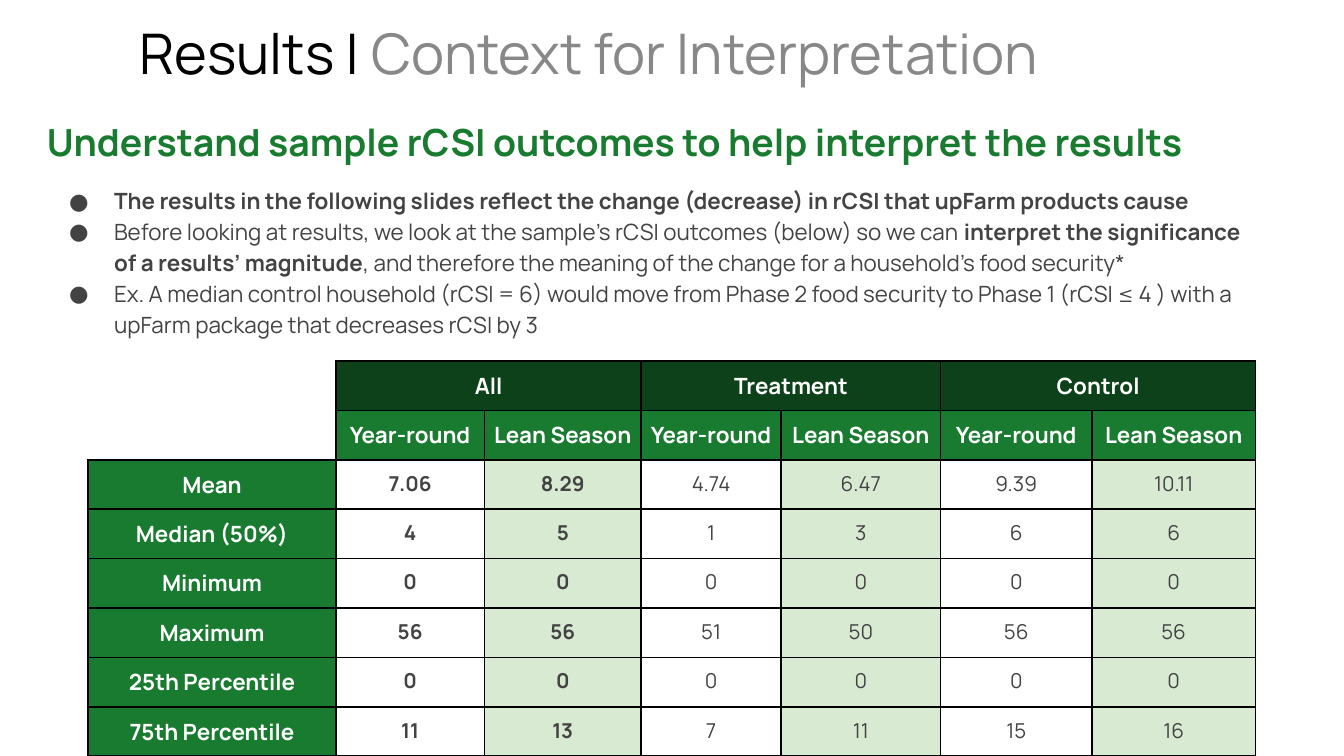
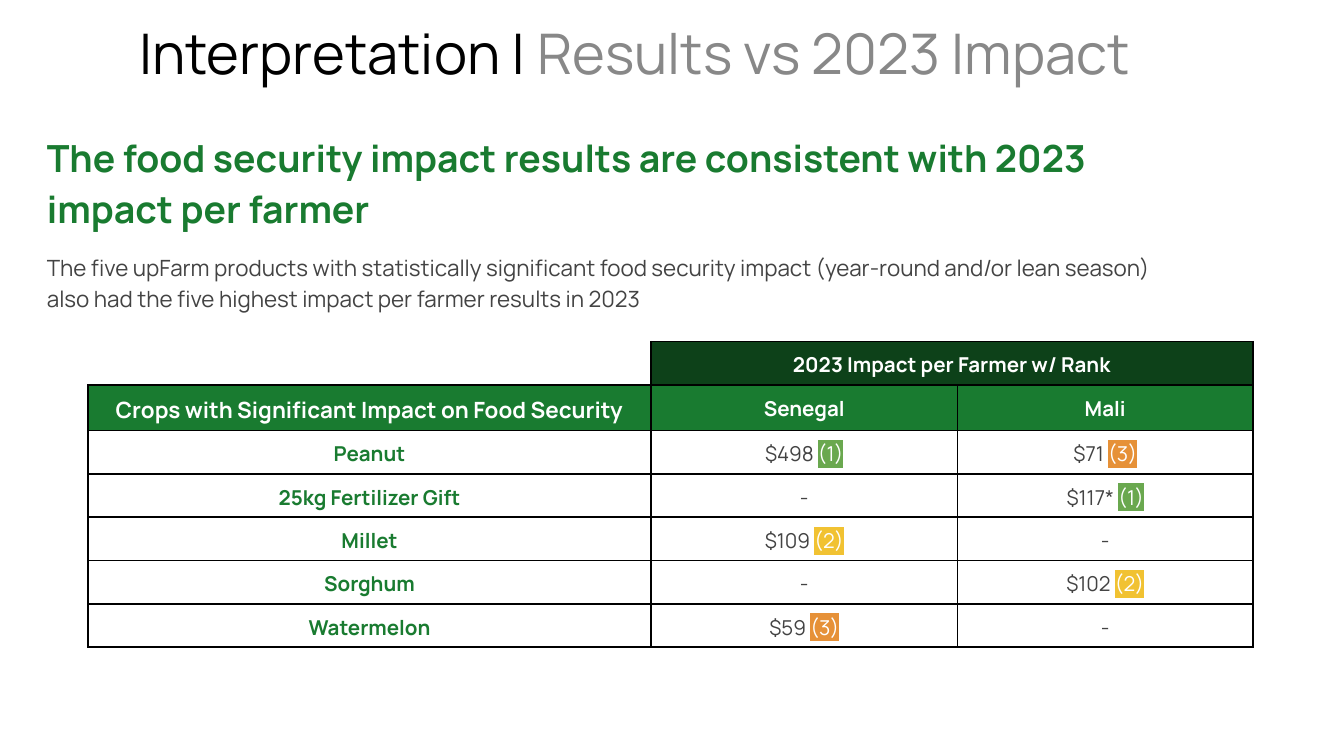
import pptx
import pptx.util
import pptx.dml.color
import pptx.enum.text
import pptx.oxml.ns
from lxml import etree

PX = 9525  # 96 px to the inch
FONT = "Manrope"
DARK, GREEN, TINT = "0D4119", "197B30", "D9EAD3"
INK, GREY, BLACK, WHITE = "434343", "888888", "000000", "FFFFFF"
RANKS = {"(1)": "6AA84F", "(2)": "F1C232", "(3)": "E69138"}
SIDES = ("left", "right", "top", "bottom")
qn = pptx.oxml.ns.qn
Pt = pptx.util.Pt
CENTER = pptx.enum.text.PP_ALIGN.CENTER
GROW = pptx.enum.text.MSO_AUTO_SIZE.SHAPE_TO_FIT_TEXT

# Text styles: size, bold, colour
STYLES = {
    "title": (30, False, BLACK), "topic": (30, False, GREY),
    "lead": (20, True, GREEN),
    "body": (12, False, INK), "strong": (12, True, INK),
    "head": (12, True, WHITE), "small": (11, True, WHITE),
    "crop": (11, True, GREEN), "rank": (11, False, WHITE),
    "num": (11, False, INK), "key": (11, True, INK),
}
# Cell looks: text style, fill, edges drawn
LOOKS = {
    "gap": ("num", None, "R"), "foot": ("num", None, "RB"),
    "top": ("head", DARK, "LRTB"), "side": ("head", GREEN, "LRTB"),
    "top11": ("small", DARK, "LRTB"), "side11": ("small", GREEN, "LRTB"),
    "key": ("key", None, "LRTB"), "keytint": ("key", TINT, "LRTB"),
    "num": ("num", None, "LRTB"), "tint": ("num", TINT, "LRTB"),
    "crop": ("crop", None, "LRTB"),
}

# Slide content
DECK = [
    {
        "title": ("Results | ", "Context for Interpretation"), "wide": 711,
        "box": (24, 71, 874, 179),
        "paras": [
            [("Understand sample rCSI outcomes to help interpret the results", "lead")],
            [("The results in the following slides reflect the change (decrease) in rCSI "
              "that upFarm products cause", "strong")],
            [("Before looking at results, we look at the sample’s rCSI outcomes (below) "
              "so we can ", "body"),
             ("interpret the significance of a results’ magnitude", "strong"),
             (", and therefore the meaning of the change for a household’s food "
              "security*", "body")],
            [("Ex. A median control household (rCSI = 6) would move from Phase 2 food "
              "security to Phase 1 (rCSI ≤ 4 ) with a upFarm package that decreases "
              "rCSI by 3", "body")],
        ],
        "bullets": True,
        "at": (63, 258, 834, 279), "cols": [177, 106, 112, 100, 114, 108, 117],
        "rows": [33] * 8, "spans": [1, 3, 5],
        "looks": [["gap"] + ["top"] * 6, ["foot"] + ["side"] * 6]
        + [["side", "key", "keytint"] + ["num", "tint"] * 2] * 6,
        "cells": [
            ["", "All", "", "Treatment", "", "Control", ""],
            [""] + ["Year-round", "Lean Season"] * 3,
            ["Mean", "7.06", "8.29", "4.74", "6.47", "9.39", "10.11"],
            ["Median (50%)", "4", "5", "1", "3", "6", "6"],
            ["Minimum"] + ["0"] * 6,
            ["Maximum", "56", "56", "51", "50", "56", "56"],
            ["25th Percentile"] + ["0"] * 6,
            ["75th Percentile", "11", "13", "7", "11", "15", "16"],
        ],
    },
    {
        "title": ("Interpretation | ", "Results vs 2023 Impact"), "wide": 805,
        "box": (24, 82, 814, 149),
        "paras": [
            [("The food security impact results are consistent with 2023 impact per "
              "farmer", "lead")],
            [("The five upFarm products with statistically significant food security "
              "impact (year-round and/or lean season) also had the five highest impact "
              "per farmer results in 2023", "body")],
        ],
        "bullets": False,
        "at": (63, 244, 832, 220), "cols": [402, 219, 211],
        "rows": [27] * 2 + [26] * 5, "spans": [1],
        "looks": [["foot", "top11", "top11"], ["side", "side11", "side11"]]
        + [["crop", "num", "num"]] * 5,
        "cells": [
            ["", "2023 Impact per Farmer w/ Rank", ""],
            ["Crops with Significant Impact on Food Security", "Senegal", "Mali"],
            ["Peanut", "$498 (1)", "$71 (3)"],
            ["25kg Fertilizer Gift", "-", "$117* (1)"],
            ["Millet", "$109 (2)", "-"],
            ["Sorghum", "-", "$102 (2)"],
            ["Watermelon", "$59 (3)", "-"],
        ],
    },
]


def hue(code):
    return pptx.dml.color.RGBColor.from_string(code)


def write(para, runs, form):
    for key, val in form.items():
        setattr(para, key, val)
    for text, style in runs:
        size, bold, tone = STYLES[style]
        run = para.add_run()
        run.text = text
        run.font.color.rgb = hue(tone)
        for key, val in {"name": FONT, "size": Pt(size), "bold": bold}.items():
            setattr(run.font, key, val)
        if style == "rank":
            mark = etree.Element(qn("a:highlight"))
            etree.SubElement(mark, qn("a:srgbClr"), val=RANKS[text])
            run.font._element.find(qn("a:solidFill")).addnext(mark)


deck = pptx.Presentation()
deck.slide_width, deck.slide_height = 960 * PX, 540 * PX

for page in DECK:
    slide = deck.slides.add_slide(deck.slide_layouts[6])

    # Table grid
    rows, cols = page["rows"], page["cols"]
    place = [n * PX for n in page["at"]]
    grid = slide.shapes.add_table(len(rows), len(cols), *place).table
    grid.first_row = grid.horz_banding = False
    for col, wide in zip(grid.columns, cols):
        col.width = wide * PX
    for row, high in zip(grid.rows, rows):
        row.height = high * PX
    for col in page["spans"]:
        grid.cell(0, col).merge(grid.cell(0, col + 1))

    # Table cells
    for r, line in enumerate(page["cells"]):
        for c, text in enumerate(line):
            style, fill, edges = LOOKS[page["looks"][r][c]]
            cell = grid.cell(r, c)
            for side in SIDES:
                setattr(cell, "margin_" + side, Pt(5))
            if fill:
                cell.fill.solid()
                cell.fill.fore_color.rgb = hue(fill)
            else:
                cell.fill.background()
            for i, edge in enumerate("LRTB"):
                rule = etree.Element(qn("a:ln" + edge), w=str(Pt(1)))
                if edge in edges:
                    paint = etree.SubElement(rule, qn("a:solidFill"))
                    etree.SubElement(paint, qn("a:srgbClr"), val=BLACK)
                else:
                    etree.SubElement(rule, qn("a:noFill"))
                cell._tc.get_or_add_tcPr().insert(i, rule)
            para = cell.text_frame.paragraphs[0]
            if not text:
                etree.SubElement(para._p, qn("a:endParaRPr"), sz="1100")
            elif text[-3:] in RANKS:
                write(para, [(text[:-3], style), (text[-3:], "rank")], {"alignment": CENTER})
            else:
                write(para, [(text, style)], {"alignment": CENTER})

    # Title and body text
    title = [list(zip(page["title"], ("title", "topic")))]
    for box, paras, space in (((90, 9, page["wide"], 63), title, 0.9),
                              (page["box"], page["paras"], 1.15)):
        frame = slide.shapes.add_textbox(*[n * PX for n in box]).text_frame
        form = {"word_wrap": True, "auto_size": GROW}
        for side in SIDES:
            form["margin_" + side] = Pt(7.2)
        for key, val in form.items():
            setattr(frame, key, val)
        for i, runs in enumerate(paras):
            para = frame.add_paragraph() if i else frame.paragraphs[0]
            write(para, runs, {"line_spacing": space, "space_before": Pt(10 if i == 1 else 0)})
            if i and page["bullets"]:
                prop = para._p.get_or_add_pPr()
                prop.set("marL", str(48 * PX))
                prop.set("indent", str(-32 * PX))
                tone = etree.SubElement(prop, qn("a:buClr"))
                etree.SubElement(tone, qn("a:srgbClr"), val=INK)
                etree.SubElement(prop, qn("a:buSzPts"), val="1200")
                etree.SubElement(prop, qn("a:buFont"), typeface=FONT)
                etree.SubElement(prop, qn("a:buChar"), char="●")

deck.save("out.pptx")
